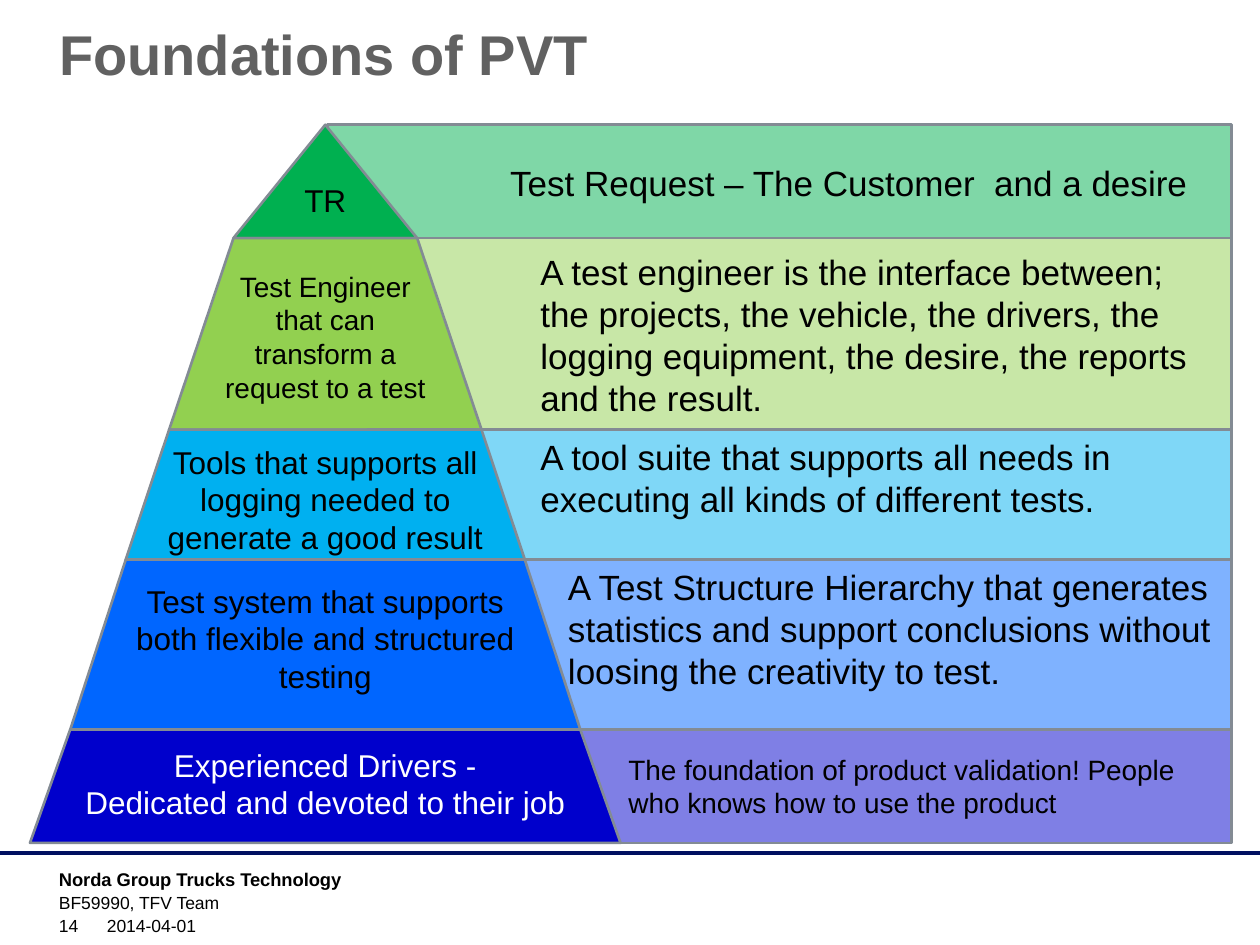
from pptx import Presentation
from pptx.dml.color import RGBColor
from pptx.enum import shapes, text
from pptx.oxml.ns import qn
from pptx.util import Pt
from lxml import etree

TITLE = "Foundations of PVT"

# Pyramid levels, top to bottom: height, base width, colour,
# (label lines, size, colour, extra space below),
# (description, size, left, offset from top, width)
LEVELS = [
    (64.8, 105, "00B050", (["TR"], 18, "000000", 0),
     ("Test Request – The Customer  and a desire", 20, 284.4, 17.3, 409)),
    (109.4, 178.5, "92D050",
     (["Test Engineer that can transform a request to a test"], 16, "000000", 12),
     ("A test engineer is the interface between; the projects, the vehicle, "
      "the drivers, the logging equipment, the desire, the reports and the result.",
      20, 301.7, 3.6, 393)),
    (74.2, 228, "00B0F0",
     (["Tools that supports all logging needed to generate a good result"],
      18, "000000", 0),
     ("A tool suite that supports all needs in executing all kinds of "
      "different tests.", 20, 301.7, 0, 393)),
    (97.2, 291.5, "0066FF",
     (["Test system that supports both flexible and structured testing"],
      18, "000000", 14),
     ("A Test Structure Hierarchy that generates statistics and support "
      "conclusions without loosing the creativity to test.", 20, 317.5, 0, 393)),
    (64.8, 337.5, "0000CC",
     (["Experienced Drivers -", "Dedicated and devoted to their job"],
      18, "FFFFFF", 6),
     ("The foundation of product validation! People who knows how to use "
      "the product", 16, 352, 9.4, 358)),
]

# Footer: text, left, top, width, size, bold
FOOTER = [
    ("Norda Group Trucks Technology", 26.6, 492.5, 200, 10.5, True),
    ("BF59990, TFV Team", 26.6, 506.2, 541, 10, False),
    ("14", 26.6, 519.4, 27, 10, False),
    ("2014-04-01", 54, 519.4, 189, 10, False),
]

PYRAMID_TOP, PYRAMID_CENTRE = 71.3, 185.9
BAND_RIGHT, FIRST_BAND_LEFT, BAND_LEFT = 703.7, 187, 210


def rgb(hex_colour):
    return RGBColor.from_string(hex_colour)


def write(frame, lines, size, colour, bold=False, align=None):
    frame.word_wrap = True
    frame.text = "\n".join(lines)
    for paragraph in frame.paragraphs:
        paragraph.alignment = align
        for run in paragraph.runs:
            run.font.name = "Arial"
            run.font.size = Pt(size)
            run.font.bold = bold
            run.font.color.rgb = rgb(colour)


def add_text(left, top, width, height, content, size, bold=False):
    box = slide.shapes.add_textbox(Pt(left), Pt(top), Pt(width), Pt(height))
    write(box.text_frame, [content], size, "000000", bold)


def add_block(kind, left, top, width, height, colour):
    block = slide.shapes.add_shape(kind, Pt(left), Pt(top), Pt(width), Pt(height))
    block.shadow.inherit = False
    block.fill.solid()
    block.fill.fore_color.rgb = rgb(colour)
    block.line.color.rgb = rgb("838B94")
    block.line.width = Pt(1.5)
    return block


def make_translucent(block, percent):
    fill_colour = block.fill._xPr.find(qn("a:solidFill"))[0]
    etree.SubElement(fill_colour, qn("a:alpha")).set("val", str(percent * 1000))


prs = Presentation()
prs.slide_width, prs.slide_height = Pt(720), Pt(540)
slide = prs.slides.add_slide(prs.slide_layouts[5])

# Title
title = slide.shapes.title
title.left, title.top, title.width, title.height = Pt(26.6), Pt(4), Pt(648), Pt(53)
title.text_frame.vertical_anchor = text.MSO_ANCHOR.MIDDLE
write(title.text_frame, [TITLE], 32, "616161", True, text.PP_ALIGN.LEFT)

# Footer rule and lines
rule = slide.shapes.add_connector(shapes.MSO_CONNECTOR.STRAIGHT,
                                  Pt(0), Pt(487.4), Pt(720), Pt(487.4))
rule.line.color.rgb = rgb("000F60")
rule.line.width = Pt(2)
etree.SubElement(rule._element.spPr, qn("a:effectLst"))
for content, left, top, width, size, bold in FOOTER:
    add_text(left, top, width, 17, content, size, bold)

# Pyramid: each level's top edge is as wide as the base of the level above
top, width_above = PYRAMID_TOP, 0
for height, width, colour, label, description in LEVELS:
    band_left = BAND_LEFT if width_above else FIRST_BAND_LEFT
    band = add_block(shapes.MSO_SHAPE.RECTANGLE, band_left, top,
                     BAND_RIGHT - band_left, height, colour)
    make_translucent(band, 50)

    step = add_block(shapes.MSO_SHAPE.TRAPEZOID, PYRAMID_CENTRE - width / 2, top,
                     width, height, colour)
    step.adjustments[0] = (width - width_above) / 2 / min(width, height)
    lines, size, label_colour, space_below = label
    frame = step.text_frame
    frame.margin_left = frame.margin_right = Pt(4)
    frame.margin_bottom = Pt(3.6 + space_below)
    frame.vertical_anchor = text.MSO_ANCHOR.MIDDLE
    write(frame, lines, size, label_colour, align=text.PP_ALIGN.CENTER)

    content, size, left, offset, text_width = description
    add_text(left, top + offset, text_width, height - offset, content, size)
    top, width_above = top + height, width

prs.save("out.pptx")
